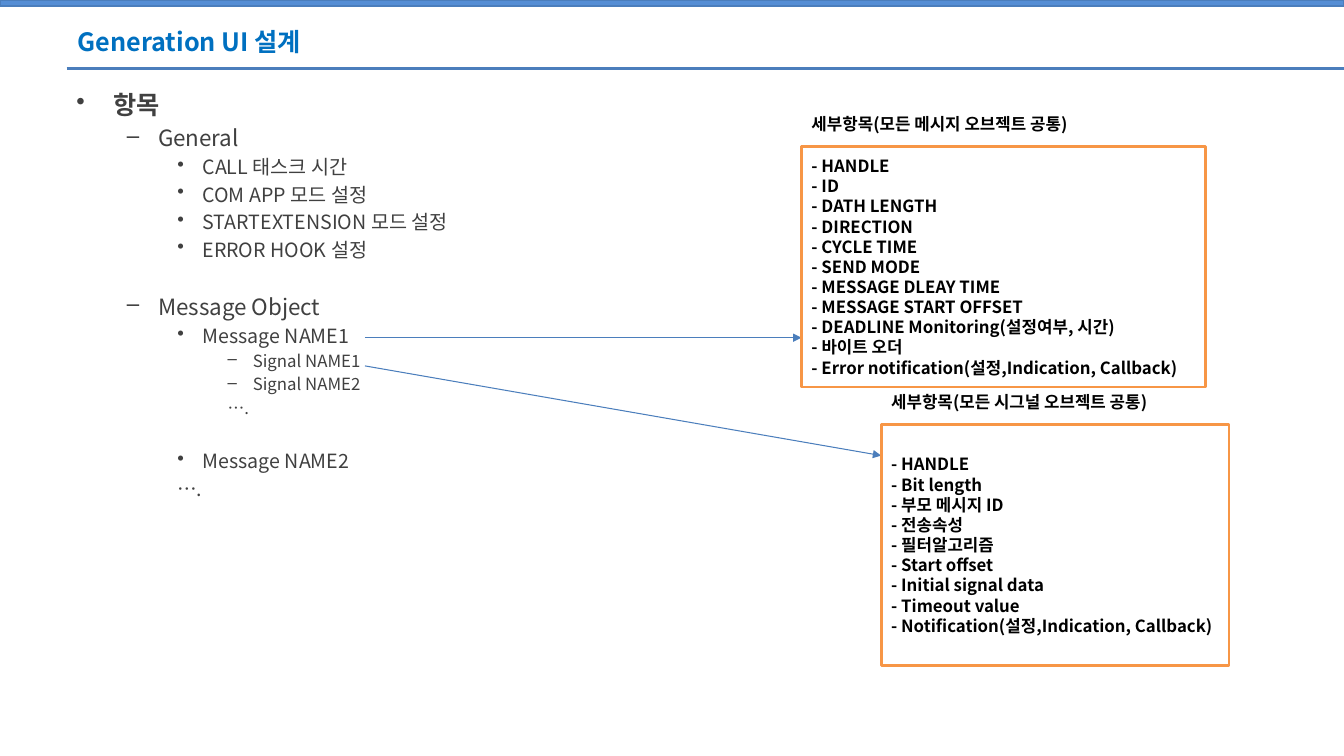
from lxml import etree
from pptx import Presentation
from pptx import util as u
from pptx.dml.color import RGBColor
from pptx.enum import shapes, text
from pptx.oxml.ns import qn

FONT = "Noto Sans CJK KR"
TITLE_BLUE = RGBColor(0x00, 0x70, 0xC0)
BAR_BLUE = RGBColor(0x55, 0x8E, 0xD5)
LINE_BLUE = RGBColor(0x4B, 0x7E, 0xBC)
ORANGE = RGBColor(0xF7, 0x96, 0x46)
GREY = RGBColor(0x40, 0x40, 0x40)
BLACK = RGBColor(0, 0, 0)
WHITE = RGBColor(255, 255, 255)

LEVEL_SIZES = [18, 16, 14, 12]
LEVEL_MARGINS = [0.37, 0.81, 1.25, 1.75]
LEVEL_HANGS = [0.37, 0.31, 0.25, 0.25]
LEVEL_BULLETS = "•–•–"
GROUP_GAP = 19.6

OUTLINE = [
    (0, "항목"),
    (1, "General"),
    (2, "CALL 태스크 시간"),
    (2, "COM APP 모드 설정"),
    (2, "STARTEXTENSION 모드 설정"),
    (2, "ERROR HOOK 설정"),
    (1, "Message Object"),
    (2, "Message NAME1"),
    (3, "Signal NAME1"),
    (3, "Signal NAME2"),
    (3, "…."),
    (2, "Message NAME2"),
    (2, "…."),
]
GROUP_STARTS = {"Message Object", "Message NAME2"}

MESSAGE_FIELDS = [
    "HANDLE", "ID", "DATH LENGTH", "DIRECTION", "CYCLE TIME", "SEND MODE",
    "MESSAGE DLEAY TIME", "MESSAGE START OFFSET",
    "DEADLINE Monitoring(설정여부, 시간)", "바이트 오더",
    "Error notification(설정,Indication, Callback)",
]
SIGNAL_FIELDS = [
    "HANDLE", "Bit length", "부모 메시지 ID", "전송속성", "필터알고리즘",
    "Start offset", "Initial signal data", "Timeout value",
    "Notification(설정,Indication, Callback)",
]


def inches(*lengths):
    """Convert lengths to Inches."""
    return [u.Inches(length) for length in lengths]


def style(paragraph, size, color, bold):
    """Set the font of a left-aligned paragraph for Latin and Korean text."""
    paragraph.alignment = text.PP_ALIGN.LEFT
    font = paragraph.font
    font.size, font.bold, font.name = u.Pt(size), bold, FONT
    font.color.rgb = color
    defaults = paragraph._p.pPr.find(qn("a:defRPr"))
    east_asian = etree.Element(qn("a:ea"), typeface=FONT)
    defaults.find(qn("a:latin")).addnext(east_asian)


def add_rule(slide, start, end, width, arrow=False):
    """Draw a blue line, with an arrowhead at its end on request."""
    rule = slide.shapes.add_connector(
        shapes.MSO_CONNECTOR.STRAIGHT, *inches(*start, *end))
    rule.line.color.rgb = LINE_BLUE
    rule.line.width = u.Pt(width)
    if arrow:
        etree.SubElement(rule.line._get_or_add_ln(), qn("a:tailEnd"), type="triangle")
    etree.SubElement(rule._element.spPr, qn("a:effectLst"))


def add_panel(slide, box, fill, outline, width):
    """Draw a flat outlined rectangle."""
    panel = slide.shapes.add_shape(shapes.MSO_SHAPE.RECTANGLE, *inches(*box))
    panel.shadow.inherit = False
    panel.fill.solid()
    panel.fill.fore_color.rgb = fill
    panel.line.color.rgb = outline
    panel.line.width = u.Pt(width)
    return panel


def add_header(slide, box, heading):
    """Place the top bar, the rule and the title in the header box."""
    left, top, width, height = box
    add_rule(slide, (left + 0.66, top + height), (left + width, top + height), 1.5)
    add_panel(slide, (left, top, width, 0.06), BAR_BLUE, LINE_BLUE, 1.5)
    title = slide.shapes.title
    title.left, title.top, title.width, title.height = inches(
        left + 0.67, top + 0.22, 12, 0.38)
    title.text_frame.text = heading
    title.text_frame.vertical_anchor = text.MSO_ANCHOR.MIDDLE
    style(title.text_frame.paragraphs[0], 18, TITLE_BLUE, True)


def add_outline(slide, box, items):
    """Write the bulleted outline in its box."""
    frame = slide.shapes.add_textbox(*inches(*box)).text_frame
    frame.word_wrap = True
    for index, (level, wording) in enumerate(items):
        paragraph = frame.add_paragraph() if index else frame.paragraphs[0]
        paragraph.text = wording
        paragraph.level = level
        properties = paragraph._p.get_or_add_pPr()
        margin, hang = LEVEL_MARGINS[level], LEVEL_HANGS[level]
        if wording == "….":
            margin, hang = margin - hang, 0
            etree.SubElement(properties, qn("a:buNone"))
        else:
            etree.SubElement(properties, qn("a:buChar"), char=LEVEL_BULLETS[level])
        properties.set("marL", str(u.Inches(margin)))
        properties.set("indent", str(u.Inches(-hang)))
        size = LEVEL_SIZES[level]
        if index:
            gap = GROUP_GAP if wording in GROUP_STARTS else 0
            paragraph.space_before = u.Pt(size * 0.2 + gap)
        style(paragraph, size, GREY, level == 0)


def add_details(slide, box, caption, fields):
    """Draw an orange box of fields with its caption above."""
    left, top, width, height = box
    panel = add_panel(slide, box, WHITE, ORANGE, 2)
    frame = panel.text_frame
    frame.word_wrap = True
    frame.vertical_anchor = text.MSO_ANCHOR.MIDDLE
    frame.text = "\n".join(f"- {field}" for field in fields)
    label = slide.shapes.add_textbox(*inches(left, top - 0.37, 3.38, 0.3)).text_frame
    label.word_wrap = True
    label.text = caption
    for paragraph in (*frame.paragraphs, *label.paragraphs):
        style(paragraph, 12, BLACK, True)


def build():
    """Build and save the slide."""
    deck = Presentation()
    deck.slide_width, deck.slide_height = inches(13.33, 7.5)
    slide = deck.slides.add_slide(deck.slide_layouts[5])
    add_header(slide, (0, 0, 13.33, 0.68), "Generation UI 설계")
    add_outline(slide, (0.66, 0.84, 12.11, 6.14), OUTLINE)
    add_rule(slide, (3.62, 3.35), (7.95, 3.35), 0.75, arrow=True)
    add_details(slide, (7.95, 1.45, 4.01, 2.39),
                "세부항목(모든 메시지 오브젝트 공통)", MESSAGE_FIELDS)
    add_rule(slide, (3.62, 3.63), (8.74, 4.52), 0.75, arrow=True)
    add_details(slide, (8.74, 4.21, 3.45, 2.39),
                "세부항목(모든 시그널 오브젝트 공통)", SIGNAL_FIELDS)
    deck.save("out.pptx")


build()
